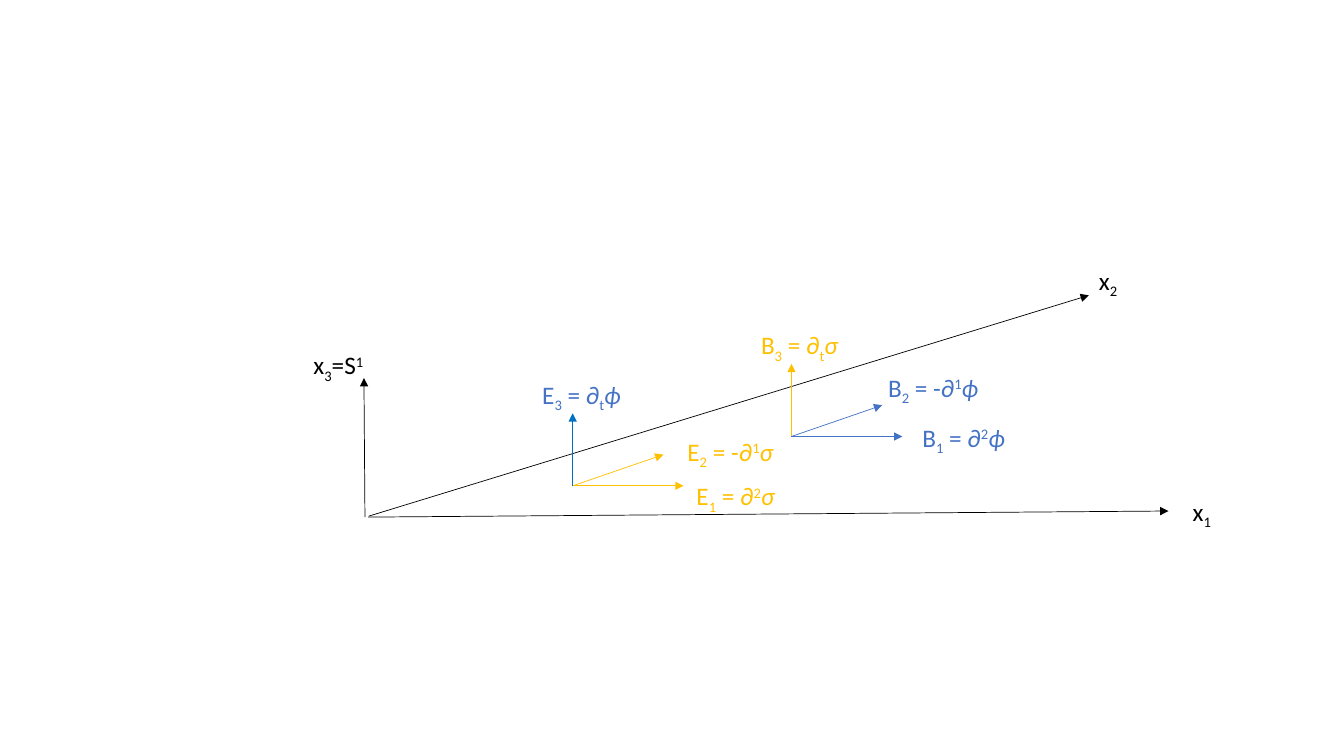
import pptx
import pptx.util
import pptx.dml.color
import pptx.enum.shapes
import pptx.oxml
import pptx.oxml.ns

Inches = pptx.util.Inches
RGBColor = pptx.dml.color.RGBColor

BLACK = RGBColor(0x00, 0x00, 0x00)
BLUE = RGBColor(0x44, 0x72, 0xC4)
DEEP_BLUE = RGBColor(0x00, 0x70, 0xC0)
GOLD = RGBColor(0xFF, 0xC0, 0x00)

# Coordinate axes: start, end
AXES = [
    ((3.66, 5.12), (10.8, 2.93)),
    ((3.65, 5.13), (11.59, 5.07)),
    ((3.62, 5.13), (3.61, 3.75)),
]

# Field triads: origin, colours of the components 1, 2, 3
TRIADS = [
    ((5.68, 4.82), (GOLD, GOLD, DEEP_BLUE)),
    ((7.85, 4.33), (BLUE, BLUE, GOLD)),
]
COMPONENT_STEPS = [(1.1, 0), (0.9, -0.31), (0, -0.72)]

# Labels: left, top, width, colour, pieces; a leading _ lowers, ^ raises, * slants
LABELS = [
    (11.73, 4.87, 0.61, BLACK, ["x", "_1"]),
    (10.8, 2.58, 0.61, BLACK, ["x", "_2"]),
    (3.01, 3.42, 0.89, BLACK, ["x", "_3", "=S", "^1"]),
    (6.81, 4.72, 1.13, GOLD, ["E", "_1", " = ∂", "^2", "*σ"]),
    (6.72, 4.28, 1.13, GOLD, ["E", "_2", " = -∂", "^1", "*σ"]),
    (5.28, 3.71, 1.13, BLUE, ["E", "_3", " = ∂", "_t", "*ϕ"]),
    (9.05, 4.14, 1.65, BLUE, ["B", "_1", " = ∂", "^2", "*ϕ"]),
    (8.71, 3.64, 1.13, BLUE, ["B", "_2", " = -∂", "^1", "*ϕ"]),
    (7.45, 3.22, 1.13, GOLD, ["B", "_3", " = ∂", "_t", "*σ"]),
]
LABEL_HEIGHT = 0.4
BASELINES = {"_": "-25000", "^": "30000"}

deck = pptx.Presentation()
deck.slide_width, deck.slide_height = Inches(13.33), Inches(7.5)
slide = deck.slides.add_slide(deck.slide_layouts[6])


def add_arrow(start, end, color):
    arrow = slide.shapes.add_connector(
        pptx.enum.shapes.MSO_CONNECTOR.STRAIGHT,
        *(Inches(value) for value in (*start, *end)))
    arrow.line.color.rgb = color
    arrow.line.width = pptx.util.Pt(0.5)
    head = pptx.oxml.parse_xml(
        f'<a:tailEnd {pptx.oxml.ns.nsdecls("a")} type="triangle"/>')
    arrow.line._get_or_add_ln().append(head)
    arrow._element.spPr.append(
        pptx.oxml.parse_xml(f'<a:effectLst {pptx.oxml.ns.nsdecls("a")}/>'))


def add_label(left, top, width, color, pieces):
    label = slide.shapes.add_textbox(
        *(Inches(value) for value in (left, top, width, LABEL_HEIGHT)))
    label.text_frame.word_wrap = True
    paragraph = label.text_frame.paragraphs[0]
    for piece in pieces:
        mark = piece[0]
        run = paragraph.add_run()
        run.text = piece.lstrip("_^*")
        font_format = {"name": "Calibri", "size": pptx.util.Pt(18),
                       "italic": mark == "*"}
        for attribute, value in font_format.items():
            setattr(run.font, attribute, value)
        run.font.color.rgb = color
        if mark in BASELINES:
            run._r.get_or_add_rPr().set("baseline", BASELINES[mark])


# Axes
for start, end in AXES:
    add_arrow(start, end, BLACK)

# Electric and magnetic field components
for (x, y), colors in TRIADS:
    for (dx, dy), color in zip(COMPONENT_STEPS, colors):
        add_arrow((x, y), (x + dx, y + dy), color)

# Labels
for label_row in LABELS:
    add_label(*label_row)

deck.save("out.pptx")
